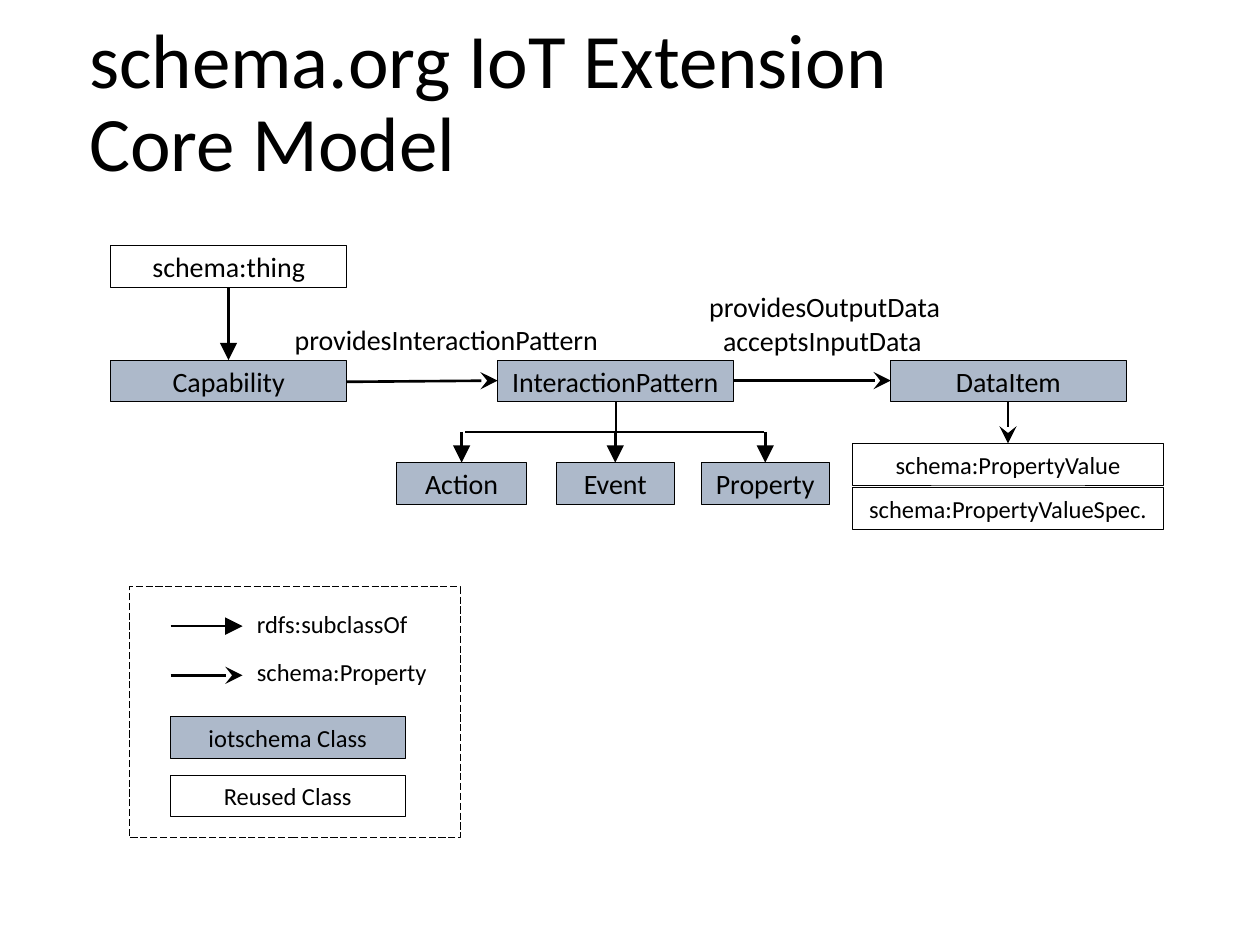
import pptx
import pptx.util
import pptx.dml.color
import pptx.enum.dml
import pptx.enum.shapes
import pptx.enum.text
import pptx.oxml.ns
import lxml.etree

Pt = pptx.util.Pt
CLASS_FILL = "ADB9CA"
WHITE = "FFFFFF"
CLASS_WIDTH = 134.6
BOX_HEIGHT = 23.8


def color(value):
    return pptx.dml.color.RGBColor.from_string(value)


class Diagram:
    """Draws the class diagram elements in one style on one slide."""

    font = "Calibri"
    ink = "000000"

    def __init__(self, slide):
        self.slide = slide

    def add_text(self, paragraph, text, size):
        run = paragraph.add_run()
        run.text = text
        run.font.name = self.font
        run.font.size = Pt(size)
        run.font.color.rgb = color(self.ink)

    def title(self, lines, left, top, width, height):
        shape = self.slide.shapes.add_textbox(Pt(left), Pt(top), Pt(width), Pt(height))
        frame = shape.text_frame
        frame.word_wrap = True
        frame.vertical_anchor = pptx.enum.text.MSO_ANCHOR.MIDDLE
        paragraph = frame.paragraphs[0]
        paragraph.line_spacing = 0.9
        for index, line in enumerate(lines):
            if index:
                paragraph.add_line_break()
            self.add_text(paragraph, line, 44)

    def label(self, text, left, top, width, size):
        shape = self.slide.shapes.add_textbox(Pt(left), Pt(top), Pt(width), Pt(size * 1.2 + 7.4))
        frame = shape.text_frame
        frame.word_wrap = False
        frame.auto_size = pptx.enum.text.MSO_AUTO_SIZE.SHAPE_TO_FIT_TEXT
        self.add_text(frame.paragraphs[0], text, size)

    def rectangle(self, left, top, width, height, fill=None):
        shape = self.slide.shapes.add_shape(
            pptx.enum.shapes.MSO_SHAPE.RECTANGLE, Pt(left), Pt(top), Pt(width), Pt(height))
        shape.shadow.inherit = False
        if fill:
            shape.fill.solid()
            shape.fill.fore_color.rgb = color(fill)
        else:
            shape.fill.background()
        shape.line.color.rgb = color(self.ink)
        shape.line.width = Pt(0.5)
        return shape

    def box(self, text, left, top, width=CLASS_WIDTH, fill=None, size=16):
        frame = self.rectangle(left, top, width, BOX_HEIGHT, fill).text_frame
        frame.word_wrap = True
        frame.vertical_anchor = pptx.enum.text.MSO_ANCHOR.MIDDLE
        paragraph = frame.paragraphs[0]
        paragraph.alignment = pptx.enum.text.PP_ALIGN.CENTER
        self.add_text(paragraph, text, size)

    def line(self, start, end, head=None):
        connector = self.slide.shapes.add_connector(
            pptx.enum.shapes.MSO_CONNECTOR.STRAIGHT, *map(Pt, start + end))
        connector.line.color.rgb = color(self.ink)
        connector.line.width = Pt(1.5)
        if head:
            lxml.etree.SubElement(
                connector.line._get_or_add_ln(), pptx.oxml.ns.qn("a:tailEnd"),
                type=head, w="lg", len="lg")
        lxml.etree.SubElement(connector._element.spPr, pptx.oxml.ns.qn("a:effectLst"))


presentation = pptx.Presentation()
presentation.slide_width = Pt(720)
presentation.slide_height = Pt(540)
diagram = Diagram(presentation.slides.add_slide(presentation.slide_layouts[6]))

diagram.title(["schema.org IoT Extension", "Core Model"], 43.9, 7.9, 620.6, 104.4)

class_top = 205.8
class_bottom = class_top + BOX_HEIGHT
class_middle = 217.5
capability, pattern, data_item = 63.4, 284.4, 509
diagram.box("schema:thing", capability, 140.4)
for name, left in (("Capability", capability), ("InteractionPattern", pattern),
                   ("DataItem", data_item)):
    diagram.box(name, left, class_top, fill=CLASS_FILL)

diagram.line((130.6, 164.2), (130.6, class_top), "triangle")
diagram.line((capability + CLASS_WIDTH, 218.2), (pattern, class_middle), "stealth")
diagram.line((pattern + CLASS_WIDTH, class_middle), (data_item, class_middle), "stealth")
diagram.line((576, class_bottom), (576, 253.4), "stealth")

for text, left, top, width in (("acceptsInputData", 406.1, 181.4, 129.6),
                               ("providesOutputData", 398.2, 161.9, 148.3),
                               ("providesInteractionPattern", 161.3, 180.9, 190.8)):
    diagram.label(text, left, top, width, 16)

branch_top = 246.8
subclass_top = 264.4
for name, left, width in (("Action", 226.7, 74.2), ("Event", 318, 67.2),
                          ("Property", 400.8, 73)):
    center = left + width / 2
    diagram.box(name, left, subclass_top, width, CLASS_FILL)
    diagram.line((center, branch_top), (center, subclass_top), "triangle")
diagram.line((436.6, branch_top), (266, branch_top))
diagram.line((352, branch_top), (352, class_bottom))

for row, name in enumerate(("schema:PropertyValue", "schema:PropertyValueSpec.")):
    diagram.box(name, 487.2, 253.4 + 25.2 * row, 177.8, WHITE, 14)

legend = diagram.rectangle(74, 335.3, 188.9, 143.3)
legend.line.dash_style = pptx.enum.dml.MSO_LINE.LONG_DASH
for text, head, arrow_top, text_top, width in (
        ("rdfs:subclassOf", "triangle", 357.8, 344.2, 101.5),
        ("schema:Property", "stealth", 385.9, 371.7, 112.3)):
    diagram.line((97.5, arrow_top), (138.6, arrow_top), head)
    diagram.label(text, 139.7, text_top, width, 14)
for text, top, fill in (("iotschema Class", 409.5, CLASS_FILL), ("Reused Class", 443, None)):
    diagram.box(text, 97.2, top, fill=fill, size=14)

presentation.save("out.pptx")
